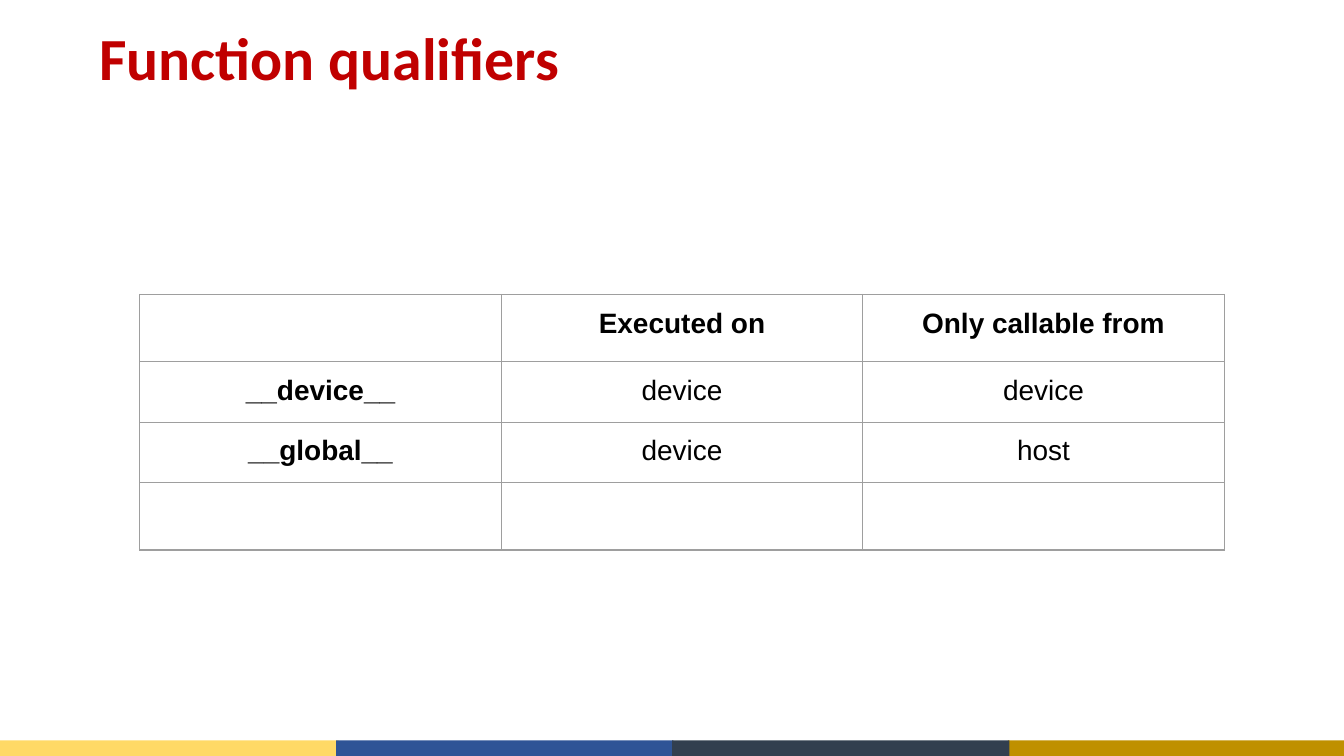
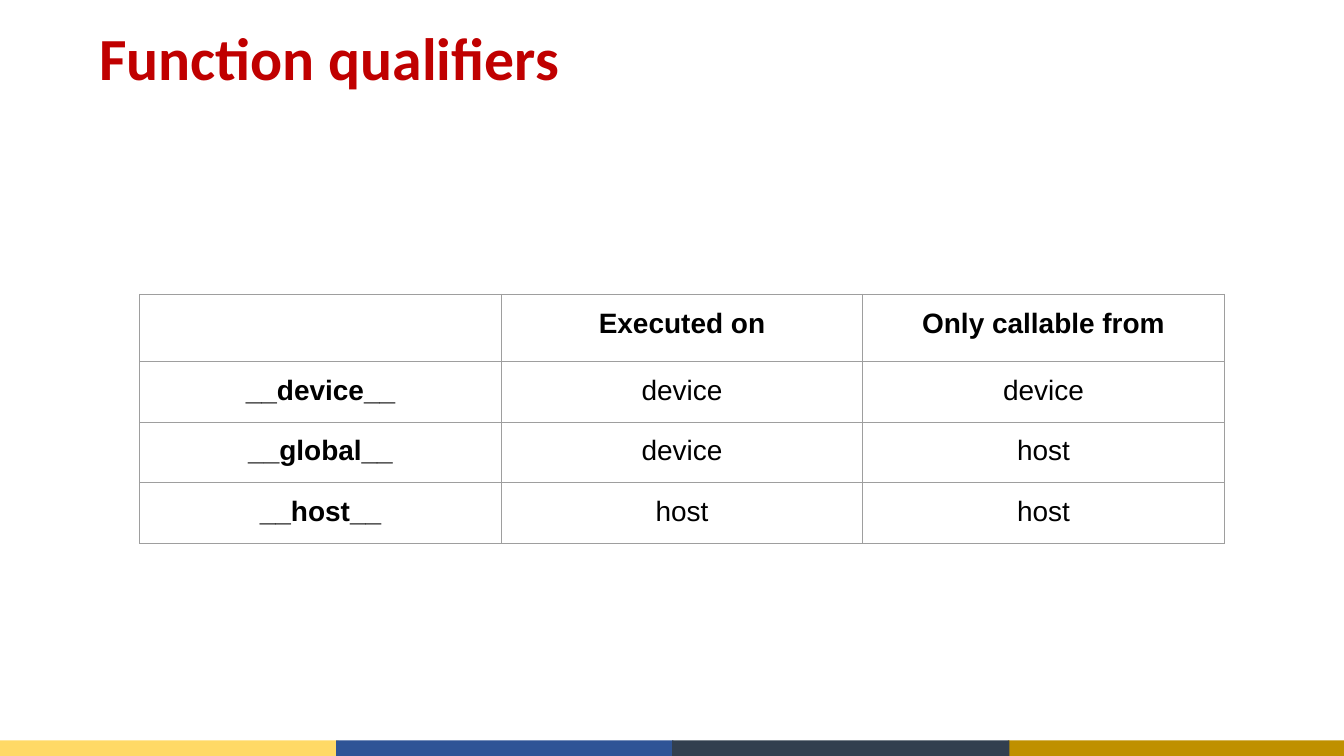
import pptx
import pptx.util
import pptx.dml.color
import pptx.enum.shapes
import pptx.enum.text
import pptx.oxml
import pptx.oxml.ns

Inches = pptx.util.Inches
Pt = pptx.util.Pt

RED = "C00000"
BLACK = "000000"
GREY = "9E9E9E"
BANDS = [(0, 2.52, "FFD966"), (7.5, 2.5, "BF9000"), (2.5, 2.51, "2F5496"), (5, 2.51, "323F4F")]

HEADER = ["", "Executed on", "Only callable from"]
DEVICE = ["__device__", "device", "device"]
GLOBAL = ["__global__", "device", "host"]
HOST = ["__host__", "host", "host"]
EMPTY = ["", "", ""]
TABLES = [
    [HEADER, DEVICE, GLOBAL, EMPTY],
    [HEADER, DEVICE, GLOBAL, HOST],
]
ROW_HEIGHT = 0.42
COLUMN_WIDTH = 2.69
NAMESPACE = pptx.oxml.ns.nsdecls("a")


def color(value):
    return pptx.dml.color.RGBColor.from_string(value)


def add_span(para, text, font, size, value, bold):
    span = para.add_run()
    span.text = text
    span.font.name = font
    span.font.size = Pt(size)
    span.font.bold = bold
    span.font.color.rgb = color(value)


deck = pptx.Presentation()
deck.slide_width = Inches(10)
deck.slide_height = Inches(10) * 9 // 16

for rows in TABLES:
    page = deck.slides.add_slide(deck.slide_layouts[6])

    for left, width, fill in BANDS:
        band = page.shapes.add_shape(
            pptx.enum.shapes.MSO_SHAPE.RECTANGLE,
            Inches(left), Inches(5.51), Inches(width), deck.slide_height - Inches(5.51))
        band.shadow.inherit = False
        band.fill.solid()
        band.fill.fore_color.rgb = color(fill)
        band.line.fill.background()

    title = page.shapes.add_textbox(Inches(0.69), Inches(0.07), Inches(8.62), Inches(0.77))
    frame = title.text_frame
    frame.word_wrap = True
    frame.vertical_anchor = pptx.enum.text.MSO_ANCHOR.MIDDLE
    frame.margin_left = frame.margin_right = Inches(0.05)
    frame.margin_top = frame.margin_bottom = Inches(0.02)
    para = frame.paragraphs[0]
    para.line_spacing = 0.9
    add_span(para, "Function qualifiers", "Calibri", 32, RED, True)

    table = page.shapes.add_table(
        len(rows), len(HEADER), Inches(1.04), Inches(2.19),
        Inches(COLUMN_WIDTH * len(HEADER)), Inches(ROW_HEIGHT * len(rows))).table
    table.horz_banding = False
    for column in table.columns:
        column.width = Inches(COLUMN_WIDTH)

    for row_index, row in enumerate(rows):
        table.rows[row_index].height = Inches(ROW_HEIGHT)
        for column_index, text in enumerate(row):
            cell = table.cell(row_index, column_index)
            properties = cell._tc.get_or_add_tcPr()
            for side in ("lnL", "lnR", "lnT", "lnB"):
                properties.append(pptx.oxml.parse_xml(
                    f'<a:{side} {NAMESPACE} w="{Pt(0.75)}">'
                    f'<a:solidFill><a:srgbClr val="{GREY}"/></a:solidFill></a:{side}>'))
            cell.fill.background()
            cell.margin_left = cell.margin_right = Inches(0.1)
            cell.margin_top = cell.margin_bottom = Inches(0.1)
            para = cell.text_frame.paragraphs[0]
            if text:
                para.alignment = pptx.enum.text.PP_ALIGN.CENTER
                bold = row_index == 0 or column_index == 0
                add_span(para, text, "Arial", 15, BLACK, bold)
            else:
                para._p.append(pptx.oxml.parse_xml(
                    f'<a:endParaRPr {NAMESPACE} sz="1800"><a:latin typeface="Arial"/></a:endParaRPr>'))

deck.save("out.pptx")
